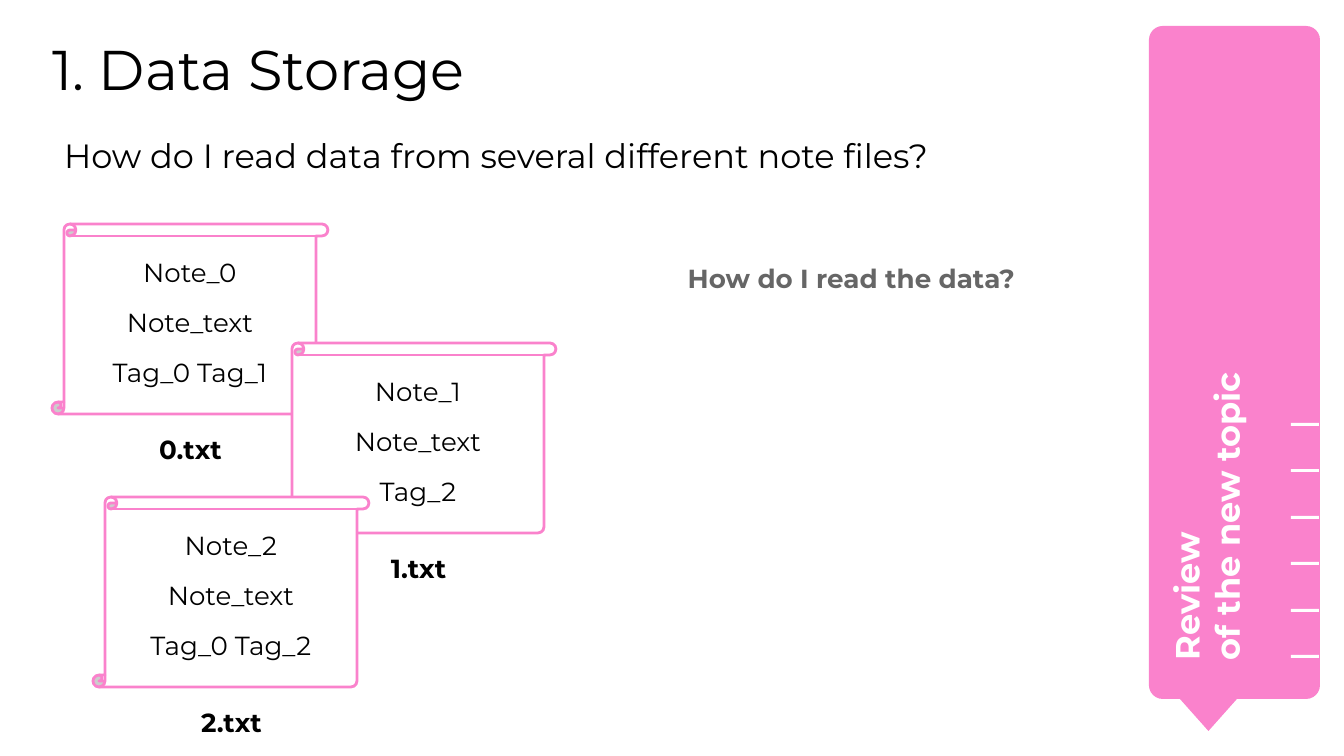
from pptx import Presentation
from pptx.dml.color import RGBColor
from pptx.enum.shapes import MSO_SHAPE as Shape
from pptx.enum.text import MSO_ANCHOR as Anchor, PP_ALIGN as Align
from pptx.util import Emu, Pt

EMU_PER_PX = 914400 / 134.4
FONT = "Montserrat"
PINK, WHITE, BLACK, GRAY = "FA82CC", "FFFFFF", "000000", "666666"
INSET = 13
SCROLL_SIZE = (276, 190)
NOTES = [
    (52, 224, "0.txt", ["Note_0", "Note_text", "Tag_0 Tag_1"]),
    (280, 343, "1.txt", ["Note_1", "Note_text", "Tag_2"]),
    (93, 497, "2.txt", ["Note_2", "Note_text", "Tag_0 Tag_2"]),
]


def px(value):
    return Emu(round(value * EMU_PER_PX))


def color(hex_string):
    return RGBColor.from_string(hex_string)


def fill_text(shape, lines, size, ink=BLACK, bold=False, align=Align.LEFT,
              anchor=Anchor.TOP, inset=INSET, gap=0):
    """Write one paragraph per line, with gap points between and after them."""
    frame = shape.text_frame
    frame.word_wrap = True
    frame.vertical_anchor = anchor
    frame.margin_left = frame.margin_right = px(inset)
    frame.margin_top = frame.margin_bottom = px(inset)
    for index, line in enumerate(lines):
        para = frame.paragraphs[0] if index == 0 else frame.add_paragraph()
        para.text = line
        para.alignment = align
        if gap and index:
            para.space_before = Pt(gap)
        font = para.font
        font.name, font.size, font.bold = FONT, Pt(size), bold
        font.color.rgb = color(ink)
    if gap:
        para.space_after = Pt(gap)


def add_text(page, left, top, width, height, text, size, **style):
    box = page.shapes.add_textbox(px(left), px(top), px(width), px(height))
    fill_text(box, [text], size, **style)
    return box


def add_block(page, kind, left, top, width, height, fill, line=None, adjust=None):
    shape = page.shapes.add_shape(kind, px(left), px(top), px(width), px(height))
    shape.shadow.inherit = False
    shape.fill.solid()
    shape.fill.fore_color.rgb = color(fill)
    if line:
        shape.line.color.rgb = color(line)
        shape.line.width = Pt(1.5)
    else:
        shape.line.fill.background()
    if adjust is not None:
        shape.adjustments[0] = adjust
    return shape


def add_note(page, left, top, file_name, lines):
    scroll = add_block(page, Shape.VERTICAL_SCROLL, left, top, *SCROLL_SIZE,
                       WHITE, line=PINK, adjust=0.063)
    fill_text(scroll, lines, 14, align=Align.CENTER, anchor=Anchor.MIDDLE, gap=10)
    add_text(page, left + 57, top + 196, 163, 40, file_name, 14,
             bold=True, align=Align.CENTER)


def add_topic_marker(page):
    add_block(page, Shape.ROUNDED_RECTANGLE, 1149, 26, 171, 673, PINK, adjust=0.081)
    add_block(page, Shape.FLOWCHART_MERGE, 1164, 681, 89, 50, PINK)
    topic = add_text(page, 960, 390, 476, 90, "Review\vof the new topic", 18,
                     ink=WHITE, bold=True)
    topic.rotation = 270
    for tick in range(6):
        add_block(page, Shape.RECTANGLE, 1291, 423 + tick * 93 // 2, 28, 3, WHITE)


def main():
    deck = Presentation()
    deck.slide_width, deck.slide_height = px(1344), px(756)
    page = deck.slides.add_slide(deck.slide_layouts[6])

    add_topic_marker(page)
    add_text(page, 52, 35, 1067, 90, "1. Data Storage", 30, inset=0)
    add_text(page, 51, 122, 1047, 58,
             "How do I read data from several different note files?", 18)
    add_text(page, 640, 249, 423, 73, "How do I read the data?", 14,
             ink=GRAY, bold=True, align=Align.CENTER)
    for note in NOTES:
        add_note(page, *note)

    deck.save("out.pptx")


if __name__ == "__main__":
    main()
